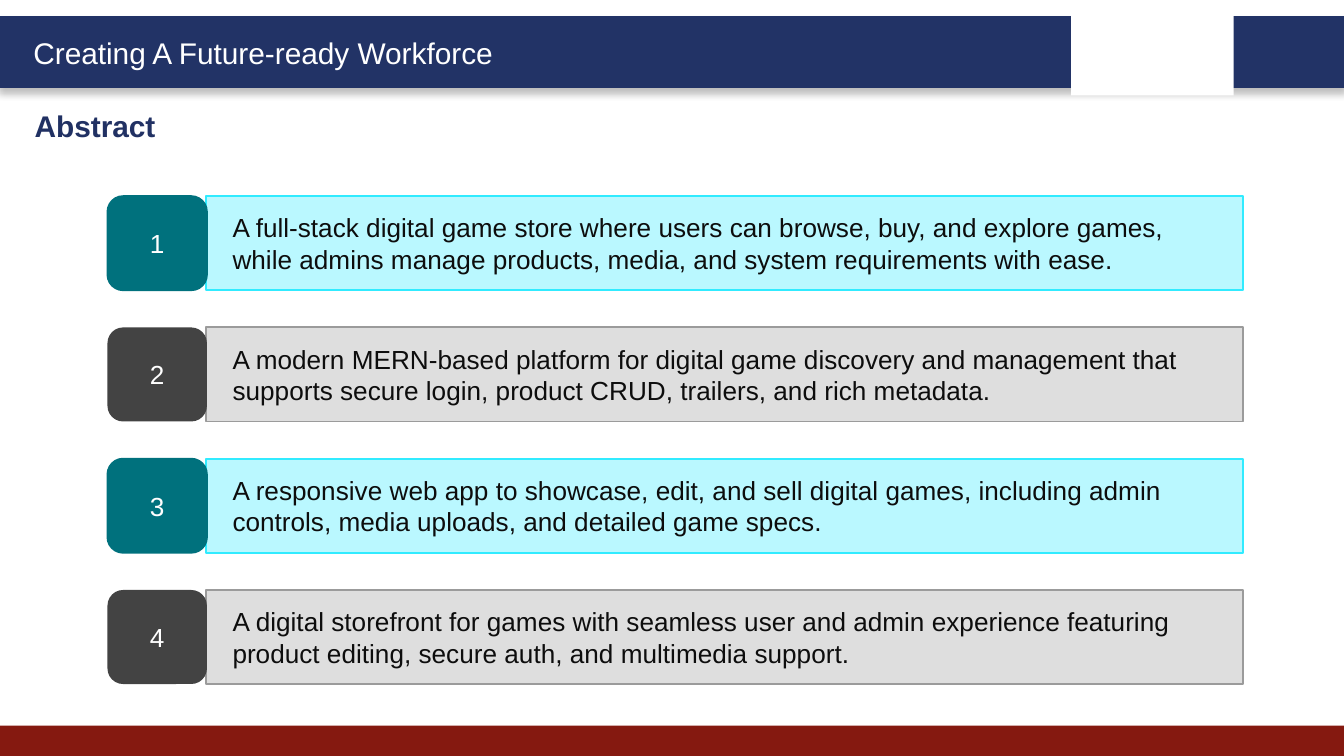
"""Build the abstract slide with four numbered statements."""
import dataclasses

import lxml.etree
import pptx
import pptx.dml.color
import pptx.enum.shapes
import pptx.enum.text
import pptx.oxml.ns
import pptx.slide
import pptx.util

Inches = pptx.util.Inches
Pt = pptx.util.Pt
MSO_SHAPE = pptx.enum.shapes.MSO_SHAPE
MSO_ANCHOR = pptx.enum.text.MSO_ANCHOR
PP_ALIGN = pptx.enum.text.PP_ALIGN


@dataclasses.dataclass(frozen=True)
class Theme:
    font: str = "Arial"
    heading_size: int = 16
    body_size: int = 14
    navy: str = "223366"
    heading: str = "213163"
    red: str = "851910"
    white: str = "FFFFFF"
    black: str = "000000"
    ink: str = "0D0D0D"
    teal: str = "00717D"
    cyan: str = "BAF8FF"
    cyan_line: str = "31EBFF"
    charcoal: str = "434343"
    gray: str = "DEDEDE"
    gray_line: str = "9B9B9B"


def rgb(value):
    return pptx.dml.color.RGBColor.from_string(value)


def write_text(tf, text, *, font, size, color, bold=False, align=PP_ALIGN.LEFT):
    tf.word_wrap = True
    p = tf.paragraphs[0]
    p.alignment = align
    r = p.add_run()
    r.text = text
    r.font.name = font
    r.font.size = Pt(size)
    r.font.bold = bold
    r.font.color.rgb = rgb(color)


@dataclasses.dataclass
class SlideBuilder:
    slide: pptx.slide.Slide
    theme: Theme

    def box(self, at, fill, line=None, line_width=1, shape=MSO_SHAPE.RECTANGLE):
        sp = self.slide.shapes.add_shape(shape, *map(Inches, at))
        sp.shadow.inherit = False
        sp.fill.solid()
        sp.fill.fore_color.rgb = rgb(fill)
        if line:
            sp.line.color.rgb = rgb(line)
            sp.line.width = Pt(line_width)
        else:
            sp.line.fill.background()
        return sp

    def drop_shadow(self, sp, color, blur, distance, opacity):
        qn = pptx.oxml.ns.qn
        effects = sp.element.spPr.find(qn("a:effectLst"))
        shadow = lxml.etree.SubElement(
            effects, qn("a:outerShdw"), blurRad=str(Pt(blur)),
            dist=str(Pt(distance)), dir=str(90 * 60000), rotWithShape="0")
        tint = lxml.etree.SubElement(shadow, qn("a:srgbClr"), val=color)
        lxml.etree.SubElement(tint, qn("a:alpha"), val=str(opacity * 1000))

    def heading(self, at, text, color, bold=False):
        tb = self.slide.shapes.add_textbox(*map(Inches, at))
        write_text(tb.text_frame, text, font=self.theme.font,
                   size=self.theme.heading_size, color=color, bold=bold)

    def statement(self, top, number, text, fill, line, badge_fill, badge_line):
        t = self.theme
        panel = self.box((1.53, top, 7.72, 0.7), fill, line)
        badge = self.box((0.8, top, 0.74, 0.7), badge_fill, badge_line,
                         shape=MSO_SHAPE.ROUNDED_RECTANGLE)
        for sp in (panel, badge):
            sp.text_frame.vertical_anchor = MSO_ANCHOR.MIDDLE
        panel.text_frame.margin_left = Inches(0.2)
        write_text(panel.text_frame, text, font=t.font, size=t.body_size, color=t.ink)
        write_text(badge.text_frame, str(number), font=t.font, size=t.body_size,
                   color=t.white, align=PP_ALIGN.CENTER)


STATEMENTS = (
    "A full-stack digital game store where users can browse, buy, and explore games, "
    "while admins manage products, media, and system requirements with ease.",
    "A modern MERN-based platform for digital game discovery and management that "
    "supports secure login, product CRUD, trailers, and rich metadata.",
    "A responsive web app to showcase, edit, and sell digital games, including admin "
    "controls, media uploads, and detailed game specs.",
    "A digital storefront for games with seamless user and admin experience featuring "
    "product editing, secure auth, and multimedia support.",
)


def main():
    prs = pptx.Presentation()
    prs.slide_width = Inches(10)
    prs.slide_height = Inches(10 * 9 / 16)
    t = Theme()
    s = SlideBuilder(prs.slides.add_slide(prs.slide_layouts[6]), t)

    header = s.box((0, 0.13, 10, 0.51), t.navy, t.navy, line_width=2)
    s.drop_shadow(header, t.black, blur=4, distance=3, opacity=25)
    s.box((0, 5.4, 10, 0.23), t.red)
    s.box((7.97, 0.07, 1.21, 0.64), t.white)
    s.heading((0.15, 0.21, 3.78, 0.37), "Creating A Future-ready Workforce", t.white)
    s.heading((0.16, 0.75, 4.84, 0.37), "Abstract", t.heading, bold=True)

    styles = (
        (t.cyan, t.cyan_line, t.teal, t.teal),
        (t.gray, t.gray_line, t.charcoal, None),
    )
    first_top, last_top = 1.46, 4.39
    pitch = (last_top - first_top) / (len(STATEMENTS) - 1)
    for i, text in enumerate(STATEMENTS):
        s.statement(first_top + i * pitch, i + 1, text, *styles[i % len(styles)])

    prs.save("out.pptx")


if __name__ == "__main__":
    main()
